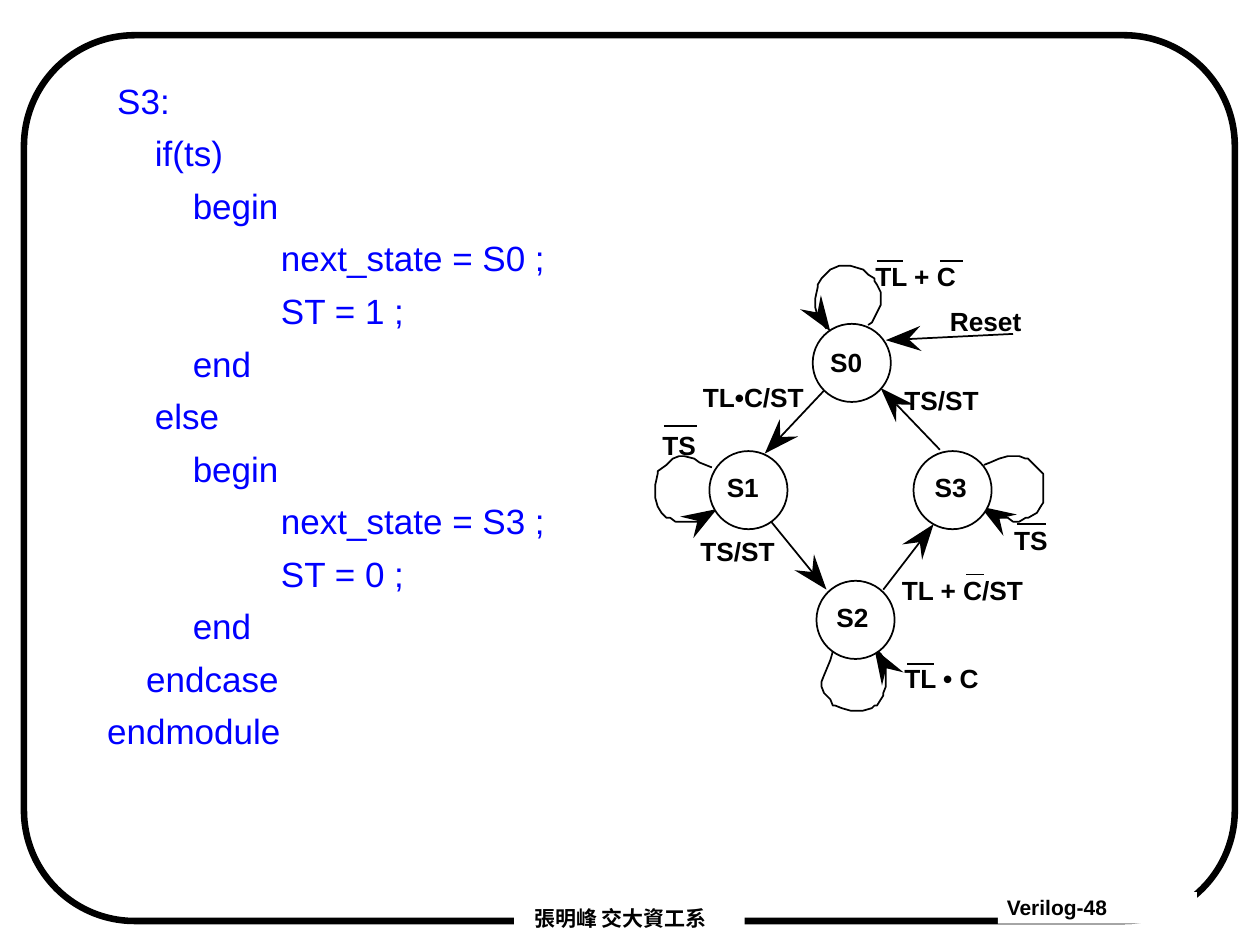
"""Draw the Verilog state machine slide: code on the left, state diagram on the right."""
from dataclasses import dataclass
from math import hypot
from typing import Any, Optional

from lxml import etree
from pptx import Presentation, util as u
from pptx.dml.color import RGBColor
from pptx.enum import shapes, text
from pptx.oxml import ns

Point = tuple[float, float]
BLACK, WHITE, BLUE = "000000", "FFFFFF", "0000FF"
LATIN, CHINESE = "Arial", "Noto Sans CJK SC"
DIAMETER = 0.62


@dataclass
class State:
    name: str
    corner: Point
    label: Point


@dataclass
class Arrow:
    tip: Point
    tail: Point
    start: Optional[Point] = None
    curve: tuple[Point, ...] = ()


@dataclass
class Label:
    words: str
    corner: Point
    width: float
    bars: tuple[tuple[float, float, float], ...] = ()


@dataclass
class Footer:
    words: str
    box: tuple[float, float, float, float]
    inset: float
    font: str


CODE = [
    ("S3:", 0.08), ("if(ts)", 0.38), ("begin", 0.68), ("next_state = S0 ;", 1.38),
    ("ST = 1 ;", 1.38), ("end", 0.68), ("else", 0.38), ("begin", 0.68),
    ("next_state = S3 ;", 1.38), ("ST = 0 ;", 1.38), ("end", 0.68),
    ("endcase", 0.31), ("endmodule", 0),
]
FOOTERS = [
    Footer("Verilog-48", (7.92, 7.08, 1.58, 0.25), 0.07, LATIN),
    Footer("張明峰 交大資工系", (4.08, 7.17, 1.83, 0.25), 0.16, CHINESE),
]
STATES = [
    State("S0", (6.45, 2.57), (6.49, 2.7)),
    State("S1", (5.63, 3.58), (5.67, 3.69)),
    State("S3", (7.25, 3.58), (7.32, 3.69)),
    State("S2", (6.48, 4.61), (6.54, 4.72)),
]
LOOPS = [
    Arrow((6.94, 5.15), (7.08, 5.38), (6.99, 5.24), (
        (6.61, 5.17), (6.59, 5.24), (6.54, 5.36), (6.52, 5.41), (6.52, 5.45), (6.54, 5.5),
        (6.59, 5.55), (6.61, 5.6), (6.63, 5.6), (6.68, 5.62), (6.75, 5.64), (6.85, 5.64),
        (6.92, 5.62), (6.94, 5.6), (6.96, 5.6), (7.01, 5.52), (7.01, 5.5), (7.03, 5.45),
        (7.03, 5.24), (7.01, 5.22), (6.99, 5.19), (6.94, 5.15))),
    Arrow((7.78, 4.02), (8.02, 4.17), (7.88, 4.09), (
        (7.81, 3.69), (7.86, 3.67), (7.93, 3.64), (8, 3.62), (8.09, 3.62), (8.14, 3.64),
        (8.16, 3.64), (8.19, 3.67), (8.28, 3.76), (8.28, 3.99), (8.26, 4.02), (8.23, 4.07),
        (8.16, 4.11), (8.14, 4.11), (8.09, 4.14), (8.04, 4.14), (8, 4.11), (7.9, 4.11),
        (7.86, 4.07), (7.81, 4.04), (7.78, 4.02))),
    Arrow((5.69, 4.04), (5.46, 4.18), (5.6, 4.09), (
        (5.65, 3.71), (5.55, 3.67), (5.51, 3.64), (5.43, 3.62), (5.39, 3.62), (5.34, 3.64),
        (5.29, 3.69), (5.22, 3.74), (5.22, 3.76), (5.2, 3.85), (5.2, 3.95), (5.22, 4.02),
        (5.25, 4.07), (5.29, 4.11), (5.32, 4.11), (5.36, 4.14), (5.58, 4.14), (5.6, 4.11),
        (5.62, 4.09), (5.69, 4.04))),
]
ARROWS = [
    Arrow((6.07, 3.6), (6.54, 3.1)),
    Arrow((6.56, 4.68), (6.12, 4.14)),
    Arrow((6.99, 3.08), (7.46, 3.57)),
    Arrow((7.41, 4.16), (7.01, 4.68)),
    Arrow((7.03, 2.7), (8.04, 2.65)),
    Arrow((6.59, 2.63), (6.42, 2.38), (6.52, 2.51), (
        (6.89, 2.58), (6.92, 2.56), (6.99, 2.42), (6.99, 2.32), (6.96, 2.26), (6.94, 2.23),
        (6.94, 2.21), (6.89, 2.18), (6.85, 2.14), (6.75, 2.11), (6.66, 2.11), (6.59, 2.14),
        (6.52, 2.21), (6.49, 2.26), (6.49, 2.28), (6.47, 2.37), (6.47, 2.44), (6.49, 2.51),
        (6.49, 2.54), (6.52, 2.56), (6.56, 2.61))),
]
LABELS = [
    Label("Reset", (7.44, 2.37), 0.77),
    Label("TL + C", (6.85, 2.02), 0.84, ((6.96, 7.17, 2.07), (7.46, 7.64, 2.07))),
    Label("TL•C/ST", (5.48, 2.98), 1),
    Label("TS", (5.16, 3.36), 0.47, ((5.27, 5.53, 3.38),)),
    Label("TS/ST", (7.08, 3), 0.79),
    Label("TS/ST", (5.46, 4.2), 0.79),
    Label("TL + C/ST", (7.06, 4.51), 1.17, ((7.67, 7.81, 4.56),)),
    Label("TS", (7.95, 4.11), 0.47, ((8.07, 8.3, 4.16),)),
    Label("TL • C", (7.08, 5.21), 0.8, ((7.2, 7.41, 5.27),)),
]


def color(value: str) -> RGBColor:
    return RGBColor.from_string(value)


def apply(target: Any, formats: dict[str, Any]) -> None:
    for name, value in formats.items():
        setattr(target, name, value)


def write(para: Any, words: str, size: float, shade: str, bold: bool, font: str = LATIN) -> None:
    span = para.add_run()
    span.text = words
    apply(span.font, {"size": u.Pt(size), "bold": bold, "name": font})
    span.font.color.rgb = color(shade)
    if font != LATIN:
        etree.SubElement(span.font._element, ns.qn("a:ea")).set("typeface", font)


def paint(shape: Any, fill: Optional[str], line: Optional[str], width: float = 1) -> None:
    shape.shadow.inherit = False
    if fill:
        shape.fill.solid()
        shape.fill.fore_color.rgb = color(fill)
    else:
        shape.fill.background()
    if line:
        shape.line.color.rgb = color(line)
        shape.line.width = u.Pt(width)
    else:
        shape.line.fill.background()


def draw_shape(page: Any, kind: Any, box: tuple[float, ...]) -> Any:
    return page.shapes.add_shape(kind, *map(u.Inches, box))


def draw_line(canvas: Any, start: Point, end: Point) -> None:
    line = canvas.add_connector(shapes.MSO_CONNECTOR.STRAIGHT, *map(u.Inches, start + end))
    line.line.color.rgb = color(BLACK)
    line.line.width = u.Pt(1)
    etree.SubElement(line._element.spPr, ns.qn("a:effectLst"))


def draw_outline(canvas: Any, points: tuple[Point, ...], closed: bool) -> None:
    first, *rest = [(u.Inches(x), u.Inches(y)) for x, y in points]
    builder = canvas.build_freeform(*first, scale=1.0)
    builder.add_line_segments(rest, close=closed)
    outline = builder.convert_to_shape()
    paint(outline, BLACK if closed else None, None if closed else BLACK)


def draw_arrow(page: Any, arrow: Arrow) -> None:
    group = page.shapes.add_group_shape().shapes
    if arrow.curve:
        draw_outline(group, arrow.curve, False)
    (x, y), (tail_x, tail_y) = arrow.tip, arrow.tail
    length = hypot(tail_x - x, tail_y - y)
    dx, dy = (tail_x - x) / length, (tail_y - y) / length

    def back(along: float, across: float) -> Point:
        return x + along * dx - across * dy, y + along * dy + across * dx

    notch = back(0.18, 0)
    draw_outline(group, (arrow.tip, back(0.28, 0.1), notch, back(0.28, -0.1)), True)
    draw_line(group, arrow.start or arrow.tail, notch)


def draw_label(page: Any, label: Label) -> None:
    box = page.shapes.add_textbox(*map(u.Inches, (*label.corner, label.width, 0.35)))
    box.text_frame.word_wrap = False
    write(box.text_frame.paragraphs[0], label.words, 15, BLACK, True)
    for left, right, top in label.bars:
        draw_line(page.shapes, (left, top), (right, top))


def draw_footer(page: Any, footer: Footer) -> None:
    box = draw_shape(page, shapes.MSO_SHAPE.RECTANGLE, footer.box)
    paint(box, WHITE, None)
    apply(box.text_frame, {
        "margin_left": u.Inches(footer.inset), "margin_right": u.Inches(0.07),
        "margin_top": u.Inches(0.03), "margin_bottom": u.Inches(0.03),
        "vertical_anchor": text.MSO_ANCHOR.TOP, "word_wrap": True})
    para = box.text_frame.paragraphs[0]
    apply(para, {"alignment": text.PP_ALIGN.LEFT, "line_spacing": 0.97})
    write(para, footer.words, 12, BLACK, True, footer.font)


def write_code(body: Any) -> None:
    apply(body, dict(zip(("left", "top", "width", "height"),
                         map(u.Inches, (0.75, 0.58, 8.5, 6.08)))))
    frame = body.text_frame
    frame.auto_size = text.MSO_AUTO_SIZE.NONE
    for number, (words, indent) in enumerate(CODE):
        para = frame.add_paragraph() if number else frame.paragraphs[0]
        apply(para, {"space_before": u.Pt(6), "alignment": text.PP_ALIGN.LEFT})
        properties = para._p.get_or_add_pPr()
        properties.set("marL", str(u.Inches(indent)))
        properties.set("indent", "0")
        etree.SubElement(properties, ns.qn("a:buNone"))
        write(para, words, 20, BLUE, False)


def main() -> None:
    deck = Presentation()
    apply(deck, {"slide_width": u.Inches(10), "slide_height": u.Inches(7.5)})
    page = deck.slides.add_slide(deck.slide_layouts[1])
    title = page.shapes.title._element
    title.getparent().remove(title)
    write_code(page.placeholders[1])
    border = draw_shape(page, shapes.MSO_SHAPE.ROUNDED_RECTANGLE, (0.19, 0.28, 9.61, 7.03))
    border.adjustments[0] = 0.125
    paint(border, None, BLACK, 3.75)
    for footer in FOOTERS:
        draw_footer(page, footer)
    for loop in LOOPS:
        draw_arrow(page, loop)
    for state in STATES:
        circle = draw_shape(page, shapes.MSO_SHAPE.OVAL, (*state.corner, DIAMETER, DIAMETER))
        paint(circle, WHITE, BLACK)
    for arrow in ARROWS:
        draw_arrow(page, arrow)
    for label in LABELS + [Label(state.name, state.label, 0.46) for state in STATES]:
        draw_label(page, label)
    deck.save("out.pptx")


if __name__ == "__main__":
    main()
